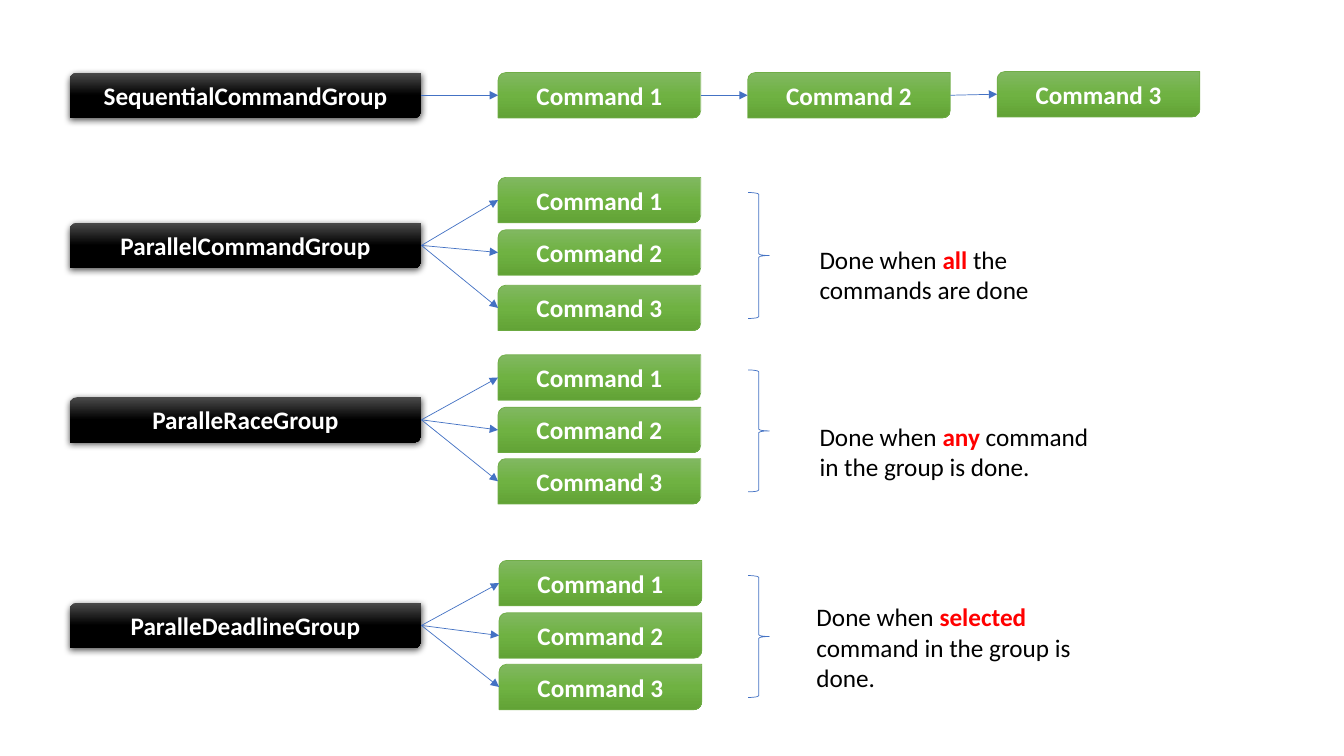
"""Build a slide comparing four kinds of command groups."""
from lxml import etree
from pptx import Presentation
from pptx import util as u
from pptx.dml.color import RGBColor
from pptx.enum import shapes, text
from pptx.oxml import parse_xml
from pptx.oxml.ns import nsdecls, qn

COMMANDS = ["Command 1", "Command 2", "Command 3"]
SEQUENCE = {"name": "SequentialCommandGroup", "top": 0.72, "command_tops": [0.72, 0.72, 0.71]}
PARALLEL_GROUPS = [
    {"name": "ParallelCommandGroup", "top": 2.21, "left": 4.94, "command_tops": [1.76, 2.28, 2.83],
     "note": ["Done when ", "all", " the commands are done"], "note_box": (8.03, 2.37, 2.87, 0.71)},
    {"name": "ParalleRaceGroup", "top": 3.94, "left": 4.94, "command_tops": [3.52, 4.04, 4.55],
     "note": ["Done when ", "any", " command in the group is done."], "note_box": (8.03, 4.13, 2.87, 1.01)},
    {"name": "ParalleDeadlineGroup", "top": 5.98, "left": 4.95, "command_tops": [5.56, 6.08, 6.59],
     "note": ["Done when ", "selected", " command in the group is done."], "note_box": (8, 5.92, 2.87, 1.01)},
]
GROUP_LEFT, GROUP_WIDTH = 0.69, 3.49
COMMAND_LEFT, COMMAND_WIDTH, COMMAND_PITCH = 4.94, 2.01, 2.475
BOX_HEIGHT = 0.45
BRACE_LEFT, BRACE_WIDTH, BRACE_INSET = 7.42, 0.21, 0.15
BLACK_STOPS = ["4B4B4B", "000000", "000000"]
GREEN_STOPS = ["81B861", "6FB242", "62A336"]
GREEN, BLUE, WHITE, BLACK, RED = "70AD47", "4472C4", "FFFFFF", "000000", "FF0000"


def color(value):
    return RGBColor.from_string(value)


def inches(*lengths):
    return [u.Inches(length) for length in lengths]


def style_line(line, value):
    line.color.rgb = color(value)
    line.width = u.Pt(0.5)


def style_run(run, value, bold):
    run.font.name, run.font.size = "Calibri", u.Pt(18)
    run.font.bold, run.font.color.rgb = bold, color(value)


def fill_gradient(shape, stops):
    shape.fill.background()
    stop_xml = "".join(
        f'<a:gs pos="{index * 50000}"><a:srgbClr val="{stop}"/></a:gs>' for index, stop in enumerate(stops))
    properties = shape.element.spPr
    properties.replace(properties.find(qn("a:noFill")), parse_xml(
        f'<a:gradFill {nsdecls("a")} rotWithShape="1"><a:gsLst>{stop_xml}</a:gsLst>'
        '<a:lin ang="5400000" scaled="0"/></a:gradFill>'))


def add_box(slide, label, left, top, width, stops):
    shape = slide.shapes.add_shape(
        shapes.MSO_SHAPE.ROUND_2_DIAG_RECTANGLE, *inches(left, top, width, BOX_HEIGHT))
    fill_gradient(shape, stops)
    shape.shadow.inherit = False
    frame = shape.text_frame
    frame.text = label
    frame.vertical_anchor = text.MSO_ANCHOR.MIDDLE
    frame.paragraphs[0].alignment = text.PP_ALIGN.CENTER
    style_run(frame.paragraphs[0].runs[0], WHITE, True)
    return shape


def add_group(slide, name, top):
    shape = add_box(slide, name, GROUP_LEFT, top, GROUP_WIDTH, BLACK_STOPS)
    shape.line.fill.background()
    shape.element.spPr.find(qn("a:effectLst")).append(parse_xml(
        f'<a:outerShdw {nsdecls("a")} blurRad="{u.Pt(4.5)}" dist="{u.Pt(1.5)}" dir="5400000" '
        'algn="ctr" rotWithShape="0"><a:srgbClr val="000000"><a:alpha val="63000"/></a:srgbClr></a:outerShdw>'))
    return shape


def add_command(slide, label, left, top):
    shape = add_box(slide, label, left, top, COMMAND_WIDTH, GREEN_STOPS)
    style_line(shape.line, GREEN)
    return shape


def add_arrow(slide, source, target):
    connector = slide.shapes.add_connector(
        shapes.MSO_CONNECTOR.STRAIGHT,
        source.left + source.width, source.top + source.height // 2,
        target.left, target.top + target.height // 2)
    style_line(connector.line, BLUE)
    etree.SubElement(connector.line._get_or_add_ln(), qn("a:tailEnd"), type="triangle")
    etree.SubElement(connector.element.spPr, qn("a:effectLst"))


def add_brace(slide, command_tops):
    top = command_tops[0] + BRACE_INSET
    bottom = command_tops[-1] + BOX_HEIGHT - BRACE_INSET + 0.03
    brace = slide.shapes.add_shape(
        shapes.MSO_SHAPE.RIGHT_BRACE, *inches(BRACE_LEFT, top, BRACE_WIDTH, bottom - top))
    brace.fill.background()
    brace.shadow.inherit = False
    style_line(brace.line, BLUE)


def add_note(slide, parts, box):
    frame = slide.shapes.add_textbox(*inches(*box)).text_frame
    frame.word_wrap = True
    for index, part in enumerate(parts):
        run = frame.paragraphs[0].add_run()
        run.text = part
        emphasized = index == 1
        style_run(run, RED if emphasized else BLACK, emphasized)


def add_sequence(slide):
    previous = add_group(slide, SEQUENCE["name"], SEQUENCE["top"])
    for column, (label, top) in enumerate(zip(COMMANDS, SEQUENCE["command_tops"])):
        command = add_command(slide, label, COMMAND_LEFT + column * COMMAND_PITCH, top)
        add_arrow(slide, previous, command)
        previous = command


def add_parallel(slide, group):
    source = add_group(slide, group["name"], group["top"])
    for label, top in zip(COMMANDS, group["command_tops"]):
        add_arrow(slide, source, add_command(slide, label, group["left"], top))
    add_brace(slide, group["command_tops"])
    add_note(slide, group["note"], group["note_box"])


def main():
    presentation = Presentation()
    presentation.slide_width, presentation.slide_height = inches(13.33, 7.5)
    slide = presentation.slides.add_slide(presentation.slide_layouts[6])
    add_sequence(slide)
    for group in PARALLEL_GROUPS:
        add_parallel(slide, group)
    presentation.save("out.pptx")


if __name__ == "__main__":
    main()
